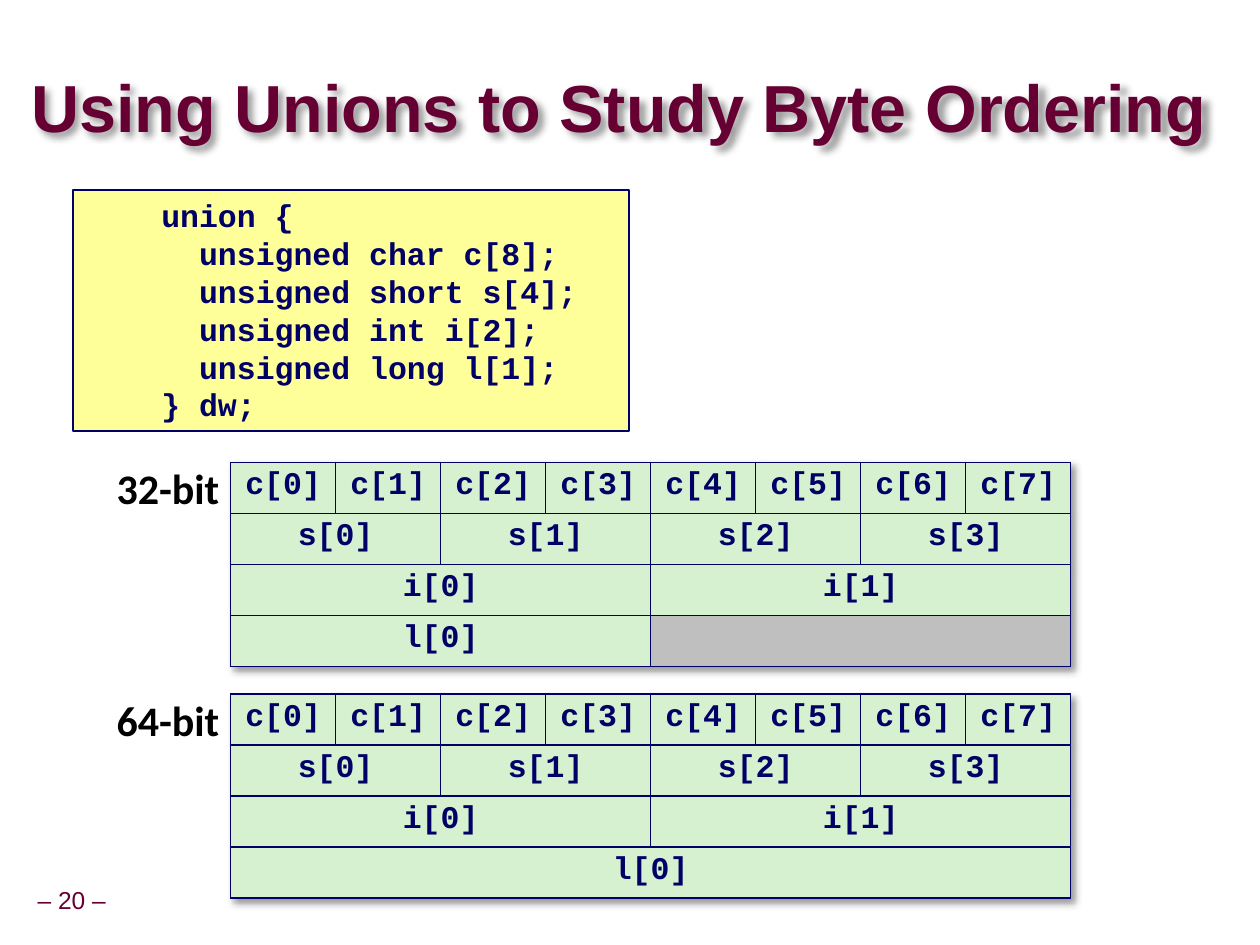
"""Build the slide on using unions to study byte ordering."""
import pptx
import pptx.dml.color
import pptx.enum.shapes
import pptx.enum.text
import pptx.oxml
import pptx.oxml.ns
import pptx.util
from dataclasses import dataclass
from pptx.util import Inches

ALIGN = pptx.enum.text.PP_ALIGN
ANCHOR = pptx.enum.text.MSO_ANCHOR
NAMESPACE = pptx.oxml.ns.nsdecls("a")


@dataclass(frozen=True)
class Theme:
    maroon: str = "660033"
    navy: str = "000066"
    black: str = "000000"
    yellow: str = "FFFF99"
    green: str = "D5F1CF"
    gray: str = "BFBFBF"
    heading: str = "Arial"
    code: str = "Courier New"
    label: str = "Calibri"
    title_size: int = 38
    label_size: int = 24
    code_size: int = 18
    number_size: int = 14


theme = Theme()


def style(para, name, size, color, bold=True, align=ALIGN.LEFT, spacing=0.9):
    para.font.name = name
    para.font.size = pptx.util.Pt(size)
    para.font.bold = bold
    para.font.color.rgb = pptx.dml.color.RGBColor.from_string(color)
    para.alignment = align
    para.line_spacing = spacing


def shadow():
    return pptx.oxml.parse_xml(
        f'<a:effectLst {NAMESPACE}><a:outerShdw blurRad="50800" dist="38100" dir="2700000" '
        'algn="tl" rotWithShape="0"><a:srgbClr val="000000"><a:alpha val="40000"/></a:srgbClr>'
        '</a:outerShdw></a:effectLst>')


deck = pptx.Presentation()
deck.slide_width, deck.slide_height = Inches(10), Inches(7.5)
page = deck.slides.add_slide(deck.slide_layouts[5])

title = page.shapes.title
title.left, title.top, title.width, title.height = map(Inches, (0.25, 0.57, 9.42, 0.63))
frame = title.text_frame
frame.text = "Using Unions to Study Byte Ordering"
frame.margin_left = frame.margin_right = frame.margin_top = frame.margin_bottom = 0
frame.vertical_anchor = ANCHOR.MIDDLE
frame.auto_size = pptx.enum.text.MSO_AUTO_SIZE.NONE
style(frame.paragraphs[0], theme.heading, theme.title_size, theme.maroon, spacing=0.87)
title._element.spPr.append(shadow())

number = page.shapes.add_textbox(Inches(0.24), Inches(7), Inches(0.66), Inches(0.31))
frame = number.text_frame
frame.text = "– 20 –"
frame.word_wrap = False
frame.vertical_anchor = ANCHOR.MIDDLE
frame.margin_left = frame.margin_right = Inches(0.05)
style(frame.paragraphs[0], theme.heading, theme.number_size, theme.maroon, False, ALIGN.CENTER)

listing = page.shapes.add_shape(pptx.enum.shapes.MSO_SHAPE.RECTANGLE,
                                Inches(0.58), Inches(1.51), Inches(4.41), Inches(1.91))
listing.shadow.inherit = False
listing.fill.solid()
listing.fill.fore_color.rgb = pptx.dml.color.RGBColor.from_string(theme.yellow)
listing.line.color.rgb = pptx.dml.color.RGBColor.from_string(theme.navy)
listing.line.width = pptx.util.Pt(1)
frame = listing.text_frame
frame.word_wrap = True
frame.vertical_anchor = ANCHOR.TOP
frame.margin_left = Inches(0.7)
members = ["unsigned char c[8];", "unsigned short s[4];", "unsigned int i[2];", "unsigned long l[1];"]
frame.text = "\n".join(["union {", *members, "} dw;"])
for para in frame.paragraphs:
    style(para, theme.code, theme.code_size, theme.navy, spacing=1.0)
    if para.text in members:
        para._p.get_or_add_pPr().set("marL", str(Inches(0.3)))

COLUMNS = 8
for caption, top, long_span in (("32-bit", 3.67, 4), ("64-bit", 5.51, 8)):
    holder = page.shapes.add_table(4, COLUMNS, Inches(1.83), Inches(top), Inches(6.67), Inches(1.62))
    table = holder.table
    table.first_row = table.horz_banding = False
    table._tbl.tblPr.insert(0, shadow())
    for row, (letter, span) in enumerate((("c", 1), ("s", 2), ("i", 4), ("l", long_span))):
        for column in range(COLUMNS):
            cell = table.cell(row, column)
            index, offset = divmod(column, span)
            unused = letter == "l" and index > 0
            if offset == 0 and span > 1:
                cell.merge(table.cell(row, column + span - 1))
            if offset == 0 and not unused:
                cell.text = f"{letter}[{index}]"
            style(cell.text_frame.paragraphs[0], theme.code, theme.code_size, theme.navy,
                  align=ALIGN.CENTER)
            properties = cell._tc.get_or_add_tcPr()
            for side in ("lnL", "lnR", "lnT", "lnB"):
                properties.append(pptx.oxml.parse_xml(
                    f'<a:{side} {NAMESPACE} w="12700"><a:solidFill>'
                    f'<a:srgbClr val="{theme.navy}"/></a:solidFill></a:{side}>'))
            cell.fill.solid()
            cell.fill.fore_color.rgb = pptx.dml.color.RGBColor.from_string(
                theme.gray if unused else theme.green)

    label = page.shapes.add_textbox(Inches(0.81), Inches(top), Inches(1.03), Inches(0.5))
    label.text_frame.text = caption
    label.text_frame.word_wrap = False
    style(label.text_frame.paragraphs[0], theme.label, theme.label_size, theme.black,
          align=ALIGN.RIGHT)

deck.save("out.pptx")
